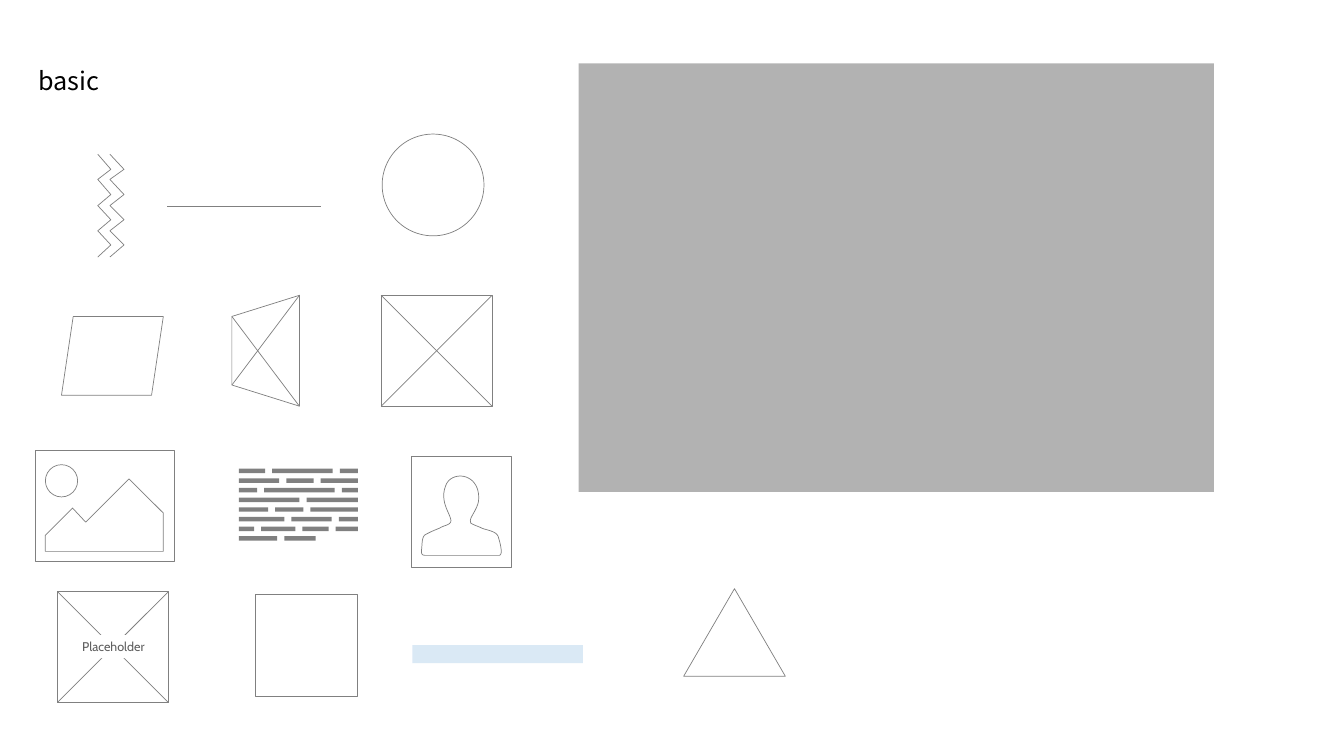
from lxml.etree import SubElement
from pptx import Presentation
from pptx.dml.color import RGBColor
from pptx.enum.shapes import MSO_CONNECTOR, MSO_SHAPE
from pptx.enum.text import MSO_ANCHOR, MSO_AUTO_SIZE, PP_ALIGN
from pptx.oxml.ns import qn
from pptx.util import Pt

PX = 9144  # 100 px to the inch
GREY, WHITE, BLUE = "808080", "FFFFFF", "5B9BD5"


def paint(part, line=GREY, fill=None, opacity=100):
    """Set line, fill and opacity in percent, and take the shadow away."""
    if line:
        part.line.color.rgb = RGBColor.from_string(line)
        part.line.width = Pt(0.5)
    else:
        part.line.fill.background()
    if fill:
        part.fill.solid()
        part.fill.fore_color.rgb = RGBColor.from_string(fill)
        if opacity < 100:
            colour = part._element.spPr.find(qn("a:solidFill"))[0]
            SubElement(colour, qn("a:alpha"), val=str(opacity * 1000))
    elif hasattr(part, "fill"):
        part.fill.background()
    SubElement(part._element.spPr, qn("a:effectLst"))


def outline(shapes, points, close=True):
    corners = [(x * PX, y * PX) for x, y in points]
    builder = shapes.build_freeform(*corners[0], scale=1.0)
    builder.add_line_segments(corners[1:], close=close)
    return builder.convert_to_shape()


prs = Presentation()
prs.slide_width, prs.slide_height = 1333 * PX, 750 * PX
slide = prs.slides.add_slide(prs.slide_layouts[5])
shapes = slide.shapes

heading = shapes.title
heading.left, heading.top, heading.width, heading.height = [n * PX for n in (28, 60, 164, 40)]
heading.text_frame.auto_size = MSO_AUTO_SIZE.NONE
heading.text_frame.vertical_anchor = MSO_ANCHOR.MIDDLE
paragraph = heading.text_frame.paragraphs[0]
paragraph.alignment = PP_ALIGN.LEFT
run = paragraph.add_run()
run.text = "basic"
run.font.name, run.font.size = "Noto Sans CJK KR", Pt(18)
run.font.color.rgb = RGBColor.from_string("000000")

# Zigzag break
zigzag = shapes.add_group_shape().shapes
levels = (153, 168, 178, 193, 204, 218, 229, 243, 255)
for left, right in ((97, 110), (109, 123)):
    points = [(right if i % 2 else left, y) for i, y in enumerate(levels)]
    paint(outline(zigzag, points, close=False))

# Single shapes
rule = shapes.add_connector(MSO_CONNECTOR.STRAIGHT, *[n * PX for n in (166, 205, 318, 205)])
paint(rule)
for kind, box, line, fill, opacity in (
    (MSO_SHAPE.RECTANGLE, (574, 63, 630, 425), None, GREY, 60),
    (MSO_SHAPE.OVAL, (379, 133, 101, 101), GREY, None, 100),
    (MSO_SHAPE.PARALLELOGRAM, (61, 314, 101, 78), GREY, None, 100),
    (MSO_SHAPE.RECTANGLE, (253, 590, 101, 101), GREY, None, 100),
    (MSO_SHAPE.RECTANGLE, (409, 640, 169, 18), None, BLUE, 22),
    (MSO_SHAPE.ISOSCELES_TRIANGLE, (678, 584, 101, 87), GREY, None, 100),
):
    single = shapes.add_shape(kind, *[n * PX for n in box])
    if kind == MSO_SHAPE.PARALLELOGRAM:
        single.adjustments[0] = 0.149
    paint(single, line, fill, opacity)

# Crossed panes: the first is seen in perspective, the last carries a label
for left, top, width, height, slant in (
    (230, 293, 67, 110, 21),
    (378, 293, 110, 110, 0),
    (57, 587, 110, 110, 0),
):
    pane = shapes.add_group_shape().shapes
    right, bottom = left + width, top + height
    if slant:
        frame = outline(pane, [(left, top + slant), (right, top), (right, bottom), (left, bottom - slant)])
    else:
        frame = pane.add_shape(MSO_SHAPE.RECTANGLE, *[n * PX for n in (left, top, width, height)])
    paint(frame, fill=WHITE)
    for ends in ((left, bottom - slant, right, top), (left, top + slant, right, bottom)):
        paint(pane.add_connector(MSO_CONNECTOR.STRAIGHT, *[n * PX for n in ends]))

label = pane.add_shape(MSO_SHAPE.RECTANGLE, *[n * PX for n in (72, 630, 81, 23)])
paint(label, None, WHITE)
frame = label.text_frame
frame.word_wrap = False
frame.vertical_anchor = MSO_ANCHOR.MIDDLE
frame.margin_left = frame.margin_right = 8 * PX
frame.margin_top = frame.margin_bottom = 4 * PX
frame.paragraphs[0].alignment = PP_ALIGN.CENTER
run = frame.paragraphs[0].add_run()
run.text = "Placeholder"
run.font.name, run.font.size = "Cabin", Pt(9)
run.font.color.rgb = RGBColor.from_string("5F5F5F")

# Landscape icon
landscape = shapes.add_group_shape().shapes
for kind, box in (
    (MSO_SHAPE.RECTANGLE, (35, 447, 138, 110)),
    (MSO_SHAPE.OVAL, (45, 461, 32, 32)),
):
    paint(landscape.add_shape(kind, *[n * PX for n in box]), fill=WHITE)
mountains = [(45, 531), (72, 504), (85, 518), (128, 475), (162, 509), (162, 547), (45, 547)]
paint(outline(landscape, mountains), fill=WHITE)

# Text block icon: the right end of each word, with equal gaps between words
text_block = shapes.add_group_shape().shapes
WORD_GAP = 7
for row, word_ends in enumerate((
    (263, 330, 355),
    (277, 311, 355),
    (255, 332, 355),
    (297, 355),
    (266, 301, 355),
    (282, 329, 355),
    (252, 293, 326, 355),
    (275, 313),
)):
    left = 237
    for right in word_ends:
        box = (left, 465 + row * 67 / 7, right - left, 4.5)
        word = text_block.add_shape(MSO_SHAPE.RECTANGLE, *[int(n * PX) for n in box])
        paint(word, None, GREY)
        left = right + WORD_GAP

# Person icon: each row holds two control points and an end point
person = shapes.add_group_shape().shapes
paint(person.add_shape(MSO_SHAPE.RECTANGLE, *[n * PX for n in (408, 453, 99, 110)]), fill=WHITE)
silhouette = [(494, 532)]
for x1, y1, x2, y2, x3, y3 in (
    (492, 527, 483, 526, 478, 524),
    (474, 522, 470, 521, 467, 519),
    (465, 514, 470, 511, 474, 500),
    (476, 493, 475, 479, 464, 474),
    (456, 470, 445, 473, 442, 482),
    (436, 497, 446, 509, 447, 515),
    (449, 521, 440, 521, 436, 524),
    (431, 526, 426, 528, 421, 531),
    (418, 535, 419, 540, 418, 546),
    (418, 549, 418, 551, 422, 551),
    (447, 551, 467, 551, 495, 551),
    (500, 551, 495, 535, 494, 532),
):
    x0, y0 = silhouette[-1]
    for step in range(1, 13):
        t = step / 12
        a, b, c, d = (1 - t) ** 3, 3 * t * (1 - t) ** 2, 3 * t * t * (1 - t), t ** 3
        silhouette.append((a * x0 + b * x1 + c * x2 + d * x3, a * y0 + b * y1 + c * y2 + d * y3))
paint(outline(person, silhouette), fill=WHITE)

prs.save("out.pptx")
